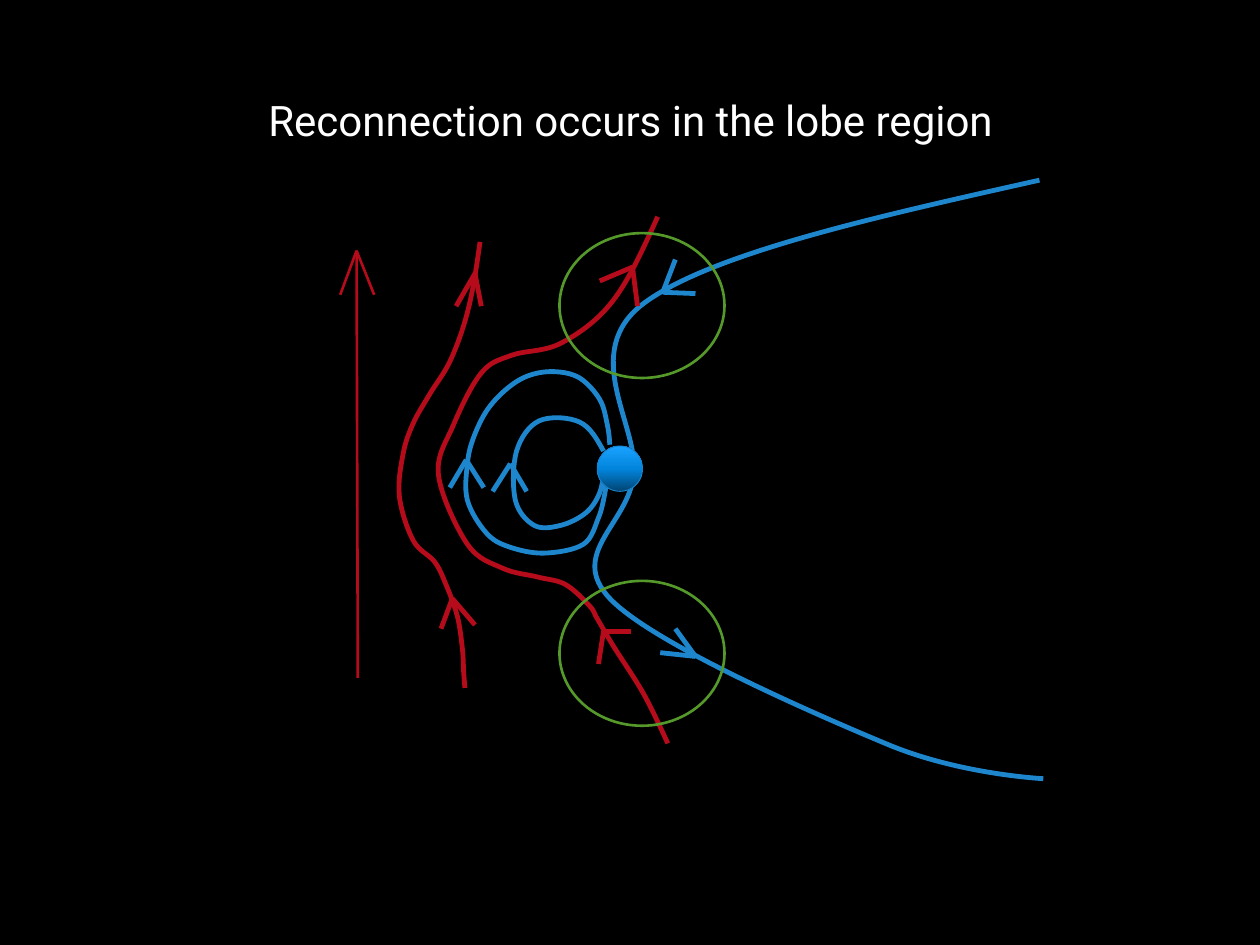
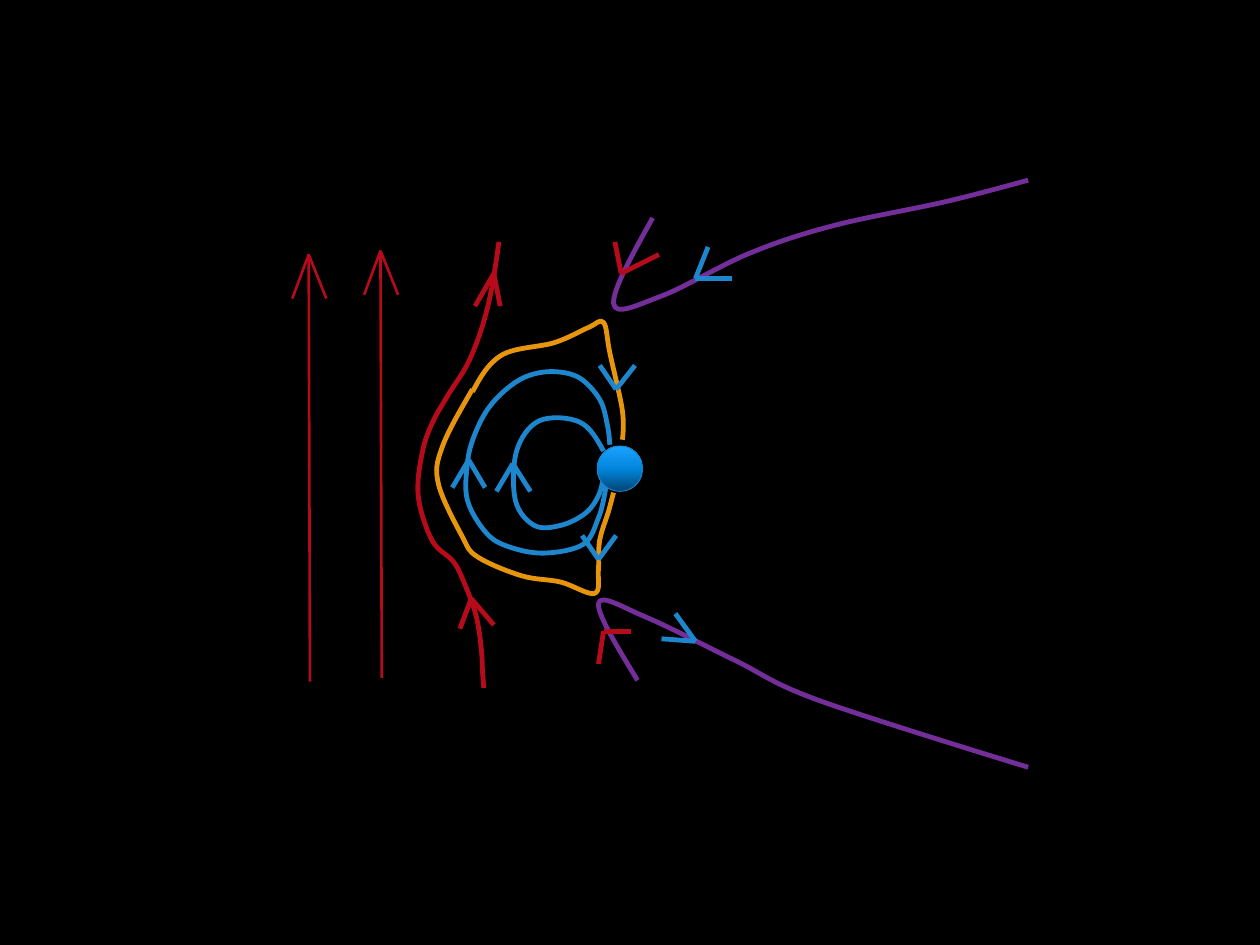
from copy import deepcopy
from dataclasses import dataclass
from lxml.etree import SubElement
from pptx import Presentation
from pptx.dml.color import RGBColor
from pptx.enum.shapes import MSO_CONNECTOR, MSO_SHAPE
from pptx.enum.text import MSO_ANCHOR, MSO_AUTO_SIZE, PP_ALIGN
from pptx.oxml.ns import qn
from pptx.util import Inches, Pt


@dataclass(frozen=True)
class Theme:
    background: str = "000000"
    text: str = "FFFFFF"
    red: str = "B50B1B"
    blue: str = "1D86CD"
    purple: str = "732E9A"
    orange: str = "E8950E"
    green: str = "55992B"
    planet_edge: str = "1884CD"
    planet: tuple = ((0, "014573"), (0.5, "0285DD"), (1, "1AA3FF"))
    font: str = "Roboto"
    title_size: float = 24
    thick: float = 2.75
    thin: float = 1.5
    hairline: float = 0.5


THEME = Theme()
TITLE_ONLY, BLANK = 5, 6
SLIDE_SIZE = (10, 7.5)
TITLE_BOX = (2.03, 0.7, 5.99, 0.5)
PLANET = (4.74, 3.54, 0.36, 0.36)
CIRCLE_SIZE = (1.31, 1.15)
CURVE_STEPS = 12

OUTER_LOOP = [(4.84, 3.53), (4.82, 3.37), (4.76, 3.17), (4.6, 3), (4.4, 2.95), (4.2, 2.98),
              (4.03, 3.08), (3.87, 3.25), (3.76, 3.47), (3.71, 3.68), (3.71, 3.97),
              (3.86, 4.23), (4.04, 4.34), (4.32, 4.39), (4.63, 4.32), (4.75, 4.11),
              (4.8, 3.92), (4.81, 3.83)]
INNER_LOOP = [(4.79, 3.58), (4.6, 3.35), (4.28, 3.34), (4.1, 3.58), (4.09, 3.97),
              (4.24, 4.17), (4.45, 4.17), (4.65, 4.07), (4.76, 3.91), (4.8, 3.7)]
LOBE_LINE = [(8.25, 1.43), (5.12, 2.4), (5.03, 3.77), (4.84, 4.75), (7.05, 5.91), (8.28, 6.18)]
DRAPED_LINE = [(5.22, 1.72), (4.87, 2.38), (4.46, 2.72), (4.06, 2.82), (3.82, 2.96),
               (3.6, 3.37), (3.48, 3.77), (3.71, 4.32), (3.99, 4.51), (4.27, 4.58),
               (4.49, 4.64), (4.68, 4.81), (4.74, 4.91), (4.87, 5.13), (5.11, 5.51), (5.3, 5.9)]
STREAM = [(3.81, 1.92), (3.72, 2.44), (3.58, 2.85), (3.41, 3.13), (3.28, 3.36), (3.2, 3.6),
          (3.17, 3.94), (3.28, 4.29), (3.45, 4.46), (3.54, 4.64), (3.63, 4.89), (3.67, 5.15),
          (3.68, 5.33), (3.69, 5.46)]
NORTH_TAIL = [(5.18, 1.73), (4.87, 2.41), (5.25, 2.35), (5.95, 2.01), (6.62, 1.79),
              (7.51, 1.6), (8.16, 1.43)]
SOUTH_TAIL = [(5.06, 5.4), (4.75, 4.79), (5.13, 4.9), (5.83, 5.24), (6.5, 5.56), (8.16, 6.09)]
NORTH_CLOSED = [(3.75, 3.11), (3.98, 2.82), (4.4, 2.72), (4.67, 2.6), (4.79, 2.56),
                (4.84, 2.8), (4.94, 3.26), (4.94, 3.49)]
SOUTH_CLOSED = [(3.75, 3.09), (3.51, 3.55), (3.48, 3.84), (3.67, 4.26), (3.79, 4.42),
                (4.14, 4.57), (4.45, 4.62), (4.72, 4.71), (4.75, 4.52), (4.76, 4.29),
                (4.83, 4.06), (4.87, 3.91)]

STREAM_HEADS = [[(3.62, 2.43), (3.77, 2.17), (3.82, 2.43)],
                [(3.5, 4.99), (3.59, 4.75), (3.77, 4.96)]]
WIND_SHAFT = [(2.84, 5.38), (2.83, 1.99)]
WIND_HEAD = [(2.7, 2.34), (2.83, 1.99), (2.97, 2.34)]
SOUTH_RED_HEAD = [(4.75, 5.27), (4.79, 5.01), (5.01, 5.01)]

SCENES = [
    {
        "title": "Reconnection occurs in the lobe region",
        "curves": [(LOBE_LINE, THEME.blue), (DRAPED_LINE, THEME.red)],
        "stream_shift": 0,
        "winds": [(0, 0)],
        "heads": [
            ([(5.24, 5.18), (5.52, 5.21), (5.36, 4.99)], THEME.blue),
            ([(5.36, 2.06), (5.26, 2.32), (5.52, 2.33)], THEME.blue),
            ([(3.91, 3.9), (4.05, 3.68), (4.18, 3.9)], THEME.blue),
            ([(3.57, 3.87), (3.7, 3.65), (3.84, 3.87)], THEME.blue),
            ([(4.76, 2.23), (5.02, 2.12), (5.06, 2.43)], THEME.red),
            (SOUTH_RED_HEAD, THEME.red),
        ],
        "circles": [(4.44, 1.85), (4.44, 4.61)],
    },
    {
        "title": None,
        "curves": [(NORTH_TAIL, THEME.purple), (NORTH_CLOSED, THEME.orange),
                   (SOUTH_TAIL, THEME.purple), (SOUTH_CLOSED, THEME.orange)],
        "stream_shift": 0.15,
        "winds": [(0.19, 0), (-0.38, 0.03)],
        "heads": [
            ([(3.94, 3.9), (4.07, 3.68), (4.21, 3.9)], THEME.blue),
            ([(5.25, 5.07), (5.52, 5.09), (5.36, 4.87)], THEME.blue),
            ([(4.76, 2.9), (4.89, 3.09), (5.04, 2.9)], THEME.blue),
            ([(3.59, 3.87), (3.72, 3.65), (3.85, 3.87)], THEME.blue),
            ([(4.62, 4.25), (4.75, 4.44), (4.89, 4.25)], THEME.blue),
            ([(5.62, 1.96), (5.52, 2.21), (5.81, 2.21)], THEME.blue),
            (SOUTH_RED_HEAD, THEME.red),
            ([(4.88, 1.92), (4.93, 2.17), (5.23, 2.02)], THEME.red),
        ],
        "circles": [],
    },
]


def shifted(points, across, down=0):
    return [(x + across, y + down) for x, y in points]


def blend(*terms):
    return tuple(sum(weight * point[axis] for weight, point in terms) for axis in (0, 1))


def bezier_segments(knots):
    segments = []
    last = len(knots) - 1
    for index in range(last):
        start, end = knots[index:index + 2]
        if index + 1 < last:
            arrive = blend((1, end), (1 / 6, start), (-1 / 6, knots[index + 2]))
        else:
            arrive = end
        if index:
            leave = blend((1, start), (1 / 6, end), (-1 / 6, knots[index - 1]))
        else:
            leave = blend((0.5, start), (0.5, arrive))
        segments.append((start, leave, arrive, end))
    return segments


def point_on(segment, share):
    rest = 1 - share
    weights = (rest ** 3, 3 * rest ** 2 * share, 3 * rest * share ** 2, share ** 3)
    return blend(*zip(weights, segment))


def set_line(shape, color, width):
    shape.line.color.rgb = RGBColor.from_string(color)
    shape.line.width = Pt(width)


def add_curve(shapes, knots, color):
    segments = bezier_segments(knots)
    samples = [point_on(segment, step / CURVE_STEPS)
               for segment in segments for step in range(1, CURVE_STEPS + 1)]
    builder = shapes.build_freeform(*map(Inches, knots[0]))
    builder.add_line_segments([tuple(map(Inches, point)) for point in samples], close=False)
    curve = builder.convert_to_shape()
    outline = curve._element.xpath(".//a:path")[0]
    for line_step in outline.findall(qn("a:lnTo")):
        outline.remove(line_step)
    for segment in segments:
        bend = SubElement(outline, qn("a:cubicBezTo"))
        for x, y in segment[1:]:
            SubElement(bend, qn("a:pt"), x=str(Inches(x) - curve.left),
                       y=str(Inches(y) - curve.top))
    curve.shadow.inherit = False
    curve.fill.background()
    set_line(curve, color, THEME.thick)


def add_stroke(shapes, start, end, color, width):
    stroke = shapes.add_connector(MSO_CONNECTOR.STRAIGHT, *map(Inches, (*start, *end)))
    set_line(stroke, color, width)
    SubElement(stroke._element.spPr, qn("a:effectLst"))


def add_head(shapes, head, color, width=THEME.thick):
    first, tip, second = head
    for end in (first, second):
        add_stroke(shapes, tip, end, color, width)


def add_wind(page, across, down):
    wind = page.shapes.add_group_shape()
    add_stroke(wind.shapes, *shifted(WIND_SHAFT, across, down), THEME.red, THEME.thin)
    add_head(wind.shapes, shifted(WIND_HEAD, across, down), THEME.red, THEME.thin)


def add_stream(page, across):
    stream = page.shapes.add_group_shape()
    add_curve(stream.shapes, shifted(STREAM, across), THEME.red)
    for head in STREAM_HEADS:
        add_head(stream.shapes, shifted(head, across), THEME.red)


def add_ellipse(page, frame, color, width):
    ellipse = page.shapes.add_shape(MSO_SHAPE.OVAL, *map(Inches, frame))
    ellipse.shadow.inherit = False
    ellipse.fill.background()
    set_line(ellipse, color, width)
    return ellipse


def add_planet(page):
    planet = add_ellipse(page, PLANET, THEME.planet_edge, THEME.hairline)
    planet.fill.gradient()
    planet.fill.gradient_angle = 90
    stops = planet._element.xpath(".//a:gsLst")[0]
    stops.append(deepcopy(stops[-1]))
    for stop, (position, color) in zip(planet.fill.gradient_stops, THEME.planet):
        stop.position = position
        stop.color.rgb = RGBColor.from_string(color)


def set_title(page, words):
    title = page.shapes.title
    title.left, title.top, title.width, title.height = map(Inches, TITLE_BOX)
    frame = title.text_frame
    frame.text = words
    frame.word_wrap = True
    frame.auto_size = MSO_AUTO_SIZE.SHAPE_TO_FIT_TEXT
    frame.vertical_anchor = MSO_ANCHOR.TOP
    para = frame.paragraphs[0]
    para.alignment = PP_ALIGN.LEFT
    para.font.name = THEME.font
    para.font.size = Pt(THEME.title_size)
    para.font.color.rgb = RGBColor.from_string(THEME.text)


def add_scene(deck, scene):
    layout = TITLE_ONLY if scene["title"] else BLANK
    page = deck.slides.add_slide(deck.slide_layouts[layout])
    if scene["title"]:
        set_title(page, scene["title"])
    for loop in (OUTER_LOOP, INNER_LOOP):
        add_curve(page.shapes, loop, THEME.blue)
    for knots, color in scene["curves"]:
        add_curve(page.shapes, knots, color)
    add_planet(page)
    add_stream(page, scene["stream_shift"])
    for wind in scene["winds"]:
        add_wind(page, *wind)
    for head, color in scene["heads"]:
        add_head(page.shapes, head, color)
    for corner in scene["circles"]:
        add_ellipse(page, (*corner, *CIRCLE_SIZE), THEME.green, THEME.thin)


def main():
    deck = Presentation()
    deck.slide_width, deck.slide_height = map(Inches, SLIDE_SIZE)
    backdrop = deck.slide_master.background.fill
    backdrop.solid()
    backdrop.fore_color.rgb = RGBColor.from_string(THEME.background)
    for scene in SCENES:
        add_scene(deck, scene)
    deck.save("out.pptx")


if __name__ == "__main__":
    main()
